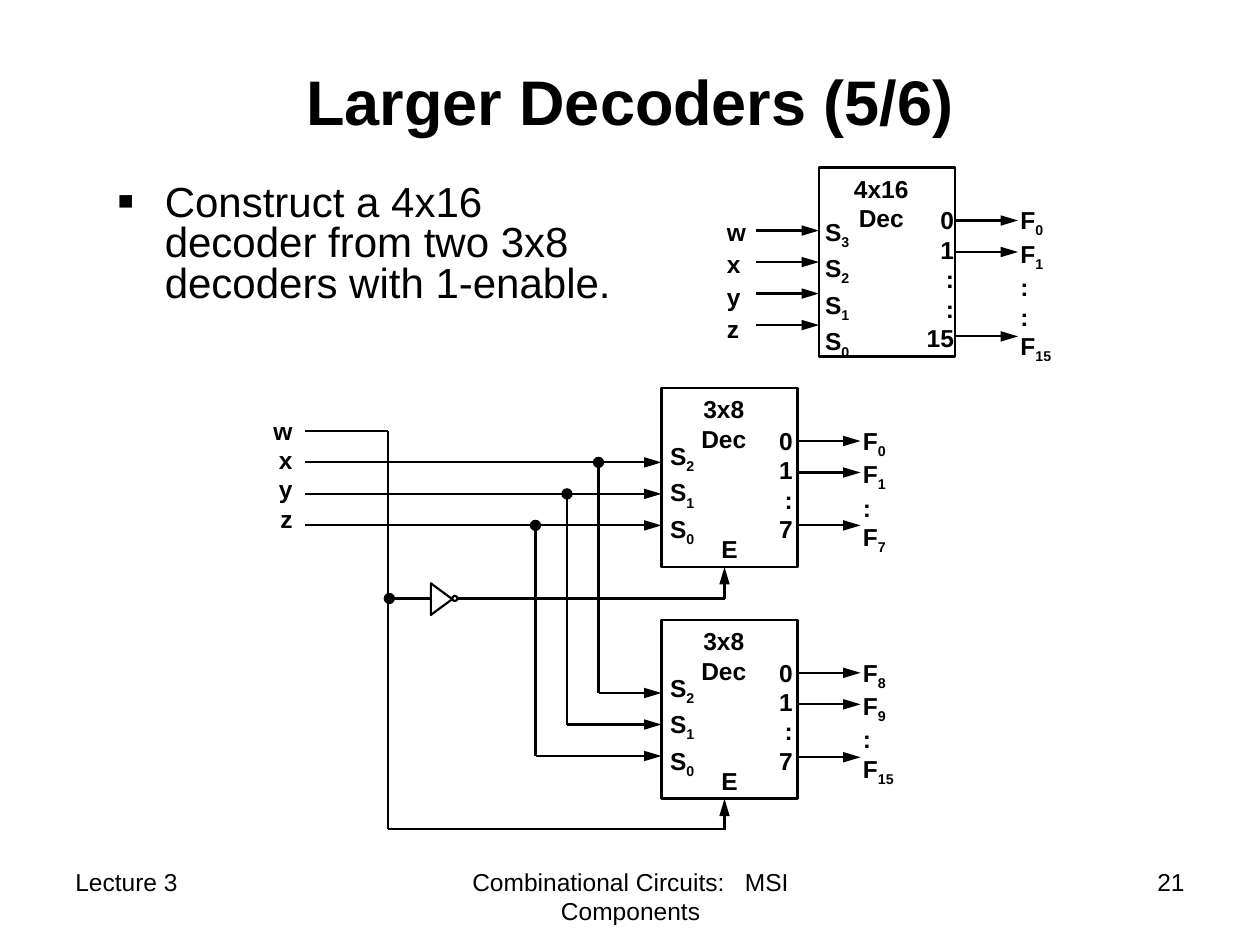
from dataclasses import dataclass

import pptx
import pptx.dml.color
import pptx.enum.shapes
import pptx.enum.text
import pptx.oxml.ns
import pptx.util
from lxml import etree

Inches = pptx.util.Inches
Pt = pptx.util.Pt
Align = pptx.enum.text.PP_ALIGN
Kind = pptx.enum.shapes.MSO_SHAPE
qn = pptx.oxml.ns.qn


@dataclass
class Theme:
    font: str = "Arial"
    ink: pptx.dml.color.RGBColor = pptx.dml.color.RGBColor(0, 0, 0)
    head: int = 36
    body: int = 24
    label: int = 14
    edge: float = 1.5
    wire: float = 1.25
    dot: float = 0.75


class Board:
    def __init__(self, deck, theme):
        self.theme = theme
        self.slide = deck.slides.add_slide(deck.slide_layouts[5])

    def runs(self, para, text, size, bold):
        for i, part in enumerate(text.split("_")):
            run = para.add_run()
            run.text = part
            run.font.name = self.theme.font
            run.font.size = Pt(size)
            run.font.bold = bold
            run.font.color.rgb = self.theme.ink
            if i:
                run._r.get_or_add_rPr().set("baseline", "-25000")

    def title(self, text, x, y, w, h):
        box = self.slide.shapes.title
        box.left, box.top, box.width, box.height = map(Inches, (x, y, w, h))
        box.text_frame.vertical_anchor = pptx.enum.text.MSO_ANCHOR.MIDDLE
        para = box.text_frame.paragraphs[0]
        para.alignment = Align.CENTER
        self.runs(para, text, self.theme.head, True)

    def text(self, lines, x, y, w, h, align=Align.LEFT, gap=0, size=None, bold=True):
        box = self.slide.shapes.add_textbox(*map(Inches, (x, y, w, h)))
        frame = box.text_frame
        frame.word_wrap = True
        for i, line in enumerate(lines):
            para = frame.add_paragraph() if i else frame.paragraphs[0]
            para.alignment = align
            if i and gap:
                para.space_before = Pt(gap)
            self.runs(para, line, size or self.theme.label, bold)
        return frame

    def bullet(self, text, x, y, w, h):
        frame = self.text([text], x, y, w, h, size=self.theme.body, bold=False)
        para = frame.paragraphs[0]
        para.line_spacing = 0.8
        props = para._p.get_or_add_pPr()
        props.set("marL", str(Inches(0.38)))
        props.set("indent", str(Inches(-0.38)))
        etree.SubElement(props, qn("a:buSzPct"), val="120000")
        etree.SubElement(props, qn("a:buFont"), typeface=self.theme.font)
        etree.SubElement(props, qn("a:buChar"), char="▪")

    def shape(self, kind, x, y, w, h, line, turn=0, solid=False):
        item = self.slide.shapes.add_shape(kind, *map(Inches, (x, y, w, h)))
        item.shadow.inherit = False
        item.rotation = turn
        item.line.color.rgb = self.theme.ink
        item.line.width = Pt(line)
        if solid:
            item.fill.solid()
            item.fill.fore_color.rgb = self.theme.ink
        else:
            item.fill.background()
        return item

    def dot(self, x, y):
        self.shape(Kind.OVAL, x - 0.04, y - 0.04, 0.08, 0.08, self.theme.dot, solid=True)

    def wire(self, x1, y1, x2, y2, arrow=False):
        line = self.slide.shapes.add_connector(
            pptx.enum.shapes.MSO_CONNECTOR.STRAIGHT, *map(Inches, (x1, y1, x2, y2)))
        line.line.color.rgb = self.theme.ink
        line.line.width = Pt(self.theme.wire)
        if arrow:
            etree.SubElement(line.line._get_or_add_ln(), qn("a:tailEnd"),
                             type="triangle", w="med", len="lg")
        etree.SubElement(line._element.spPr, qn("a:effectLst"))
        return line

    def chip(self, name, x, y, h, picks, pins, outs, taps):
        rect = self.shape(Kind.RECTANGLE, x, y, 1.08, h, self.theme.edge)
        self.text([name, "Dec"], x + 0.08, y, 0.83, 0.57, Align.CENTER)
        left, top = (-0.05, 0.34) if len(picks) == 4 else (-0.03, 0.37)
        self.text(picks, x + left, y + top, 0.47, 0.31 * len(picks), gap=1.8)
        right = 0.75 if len(pins) == 5 else 0.72
        self.text(pins, x + right, y + 0.25, 0.42, 0.1 + 0.23 * len(pins), Align.RIGHT)
        self.text(outs, x + 1.5, y + 0.25, 0.58, 0.1 + 0.25 * len(outs))
        for tap in taps:
            self.wire(x + 1.08, y + tap, x + 1.58, y + tap, True)
        return rect

    def small(self, y, outs):
        x = 5.25
        self.chip("3x8", x, y, 1.42, ["S_2", "S_1", "S_0"],
                  ["0", "1", ":", "7"], outs, (0.42, 0.67, 1.09))
        self.text(["E"], x + 0.33, y + 1.11, 0.42, 0.34, Align.CENTER)
        self.wire(x + 0.5, y + 1.67, x + 0.5, y + 1.42, True)


def main():
    deck = pptx.Presentation()
    deck.slide_width, deck.slide_height = Inches(10), Inches(7.5)
    theme = Theme()
    board = Board(deck, theme)

    board.title("Larger Decoders (5/6)", 0.75, 0.17, 8.5, 1.25)
    board.bullet("Construct a 4x16 decoder from two 3x8 decoders with 1-enable.",
                 0.83, 1.42, 4.17, 1.42)
    for text, x, w, align in (
            ("Lecture 3", 0.5, 2.33, Align.LEFT),
            ("Combinational Circuits:   MSI Components", 3.42, 3.17, Align.CENTER),
            ("21", 7.17, 2.33, Align.RIGHT)):
        board.text([text], x, 6.83, w, 0.52, align, bold=False)

    names = ["w", "x", "y", "z"]
    large = board.chip("4x16", 6.5, 1.33, 1.5, ["S_3", "S_2", "S_1", "S_0"],
                       ["0", "1", ":", ":", "15"],
                       ["F_0", "F_1", ":", ":", "F_15"], (0.42, 0.67, 1.34))
    board.text(names, 5.67, 1.67, 0.33, 1.11, gap=1.8)
    for i in range(4):
        y = 1.83 + 0.25 * i
        line = board.wire(6, y, 6.5, y, True)
        if i == 1:
            line.end_connect(large, 1)

    board.small(3.08, ["F_0", "F_1", ":", "F_7"])
    board.small(4.92, ["F_8", "F_9", ":", "F_15"])
    board.text(names, 2, 3.25, 0.42, 1.04, Align.RIGHT)

    for i in range(3):
        x, y, low = 4.75 - 0.25 * i, 3.67 + 0.25 * i, 5.5 + 0.25 * i
        board.wire(2.42, y, 5.25, y, True)
        board.wire(x, y, x, low)
        board.wire(x, low, 5.25, low, True)
        board.dot(x, y)

    board.wire(2.42, 3.42, 3.08, 3.42)
    board.wire(3.08, 3.42, 3.08, 6.58)
    board.wire(3.08, 6.58, 5.75, 6.58)
    board.wire(3.08, 4.75, 3.42, 4.75)
    board.wire(3.63, 4.75, 5.75, 4.75)
    board.shape(Kind.FLOWCHART_MERGE, 3.38, 4.67, 0.25, 0.17, theme.wire, 270)
    board.shape(Kind.OVAL, 3.59, 4.73, 0.04, 0.04, theme.wire)
    board.dot(3.09, 4.75)

    deck.save("out.pptx")


if __name__ == "__main__":
    main()
